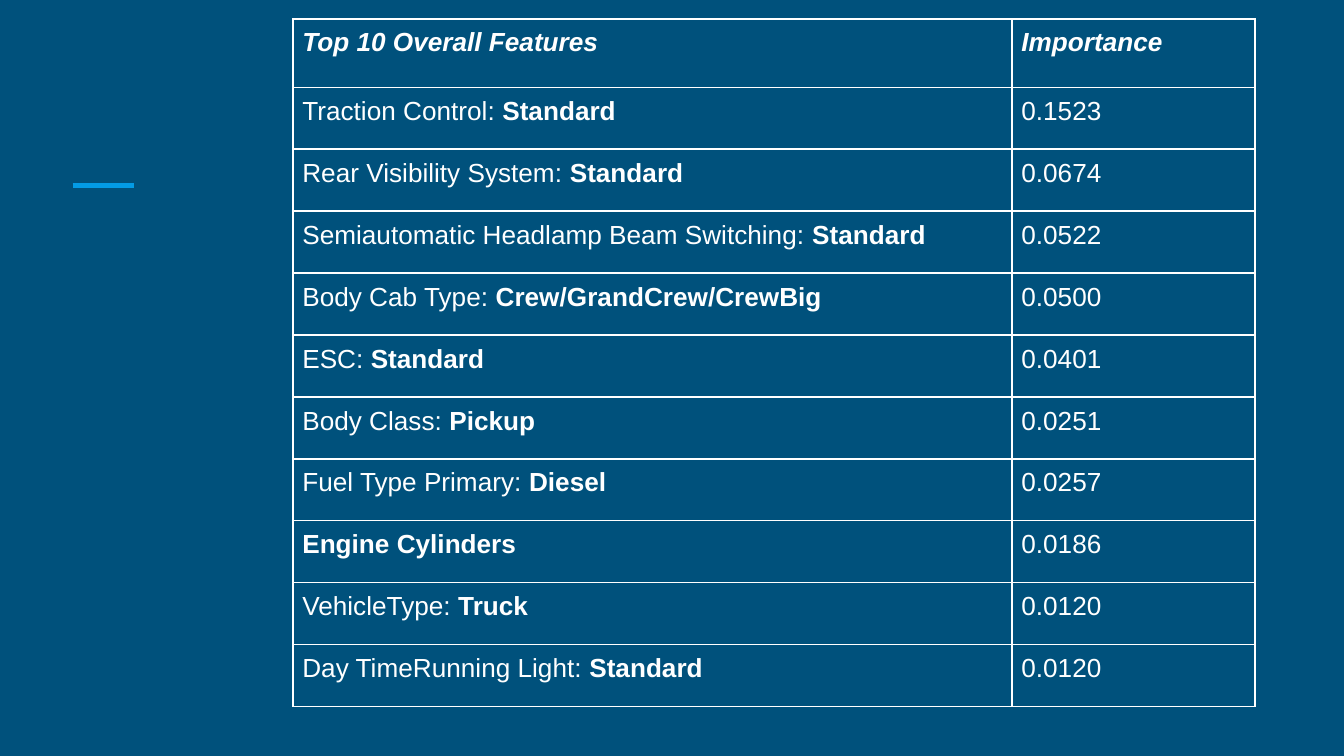
from lxml import etree
from pptx import Presentation
from pptx.dml.color import RGBColor
from pptx.enum.shapes import MSO_CONNECTOR
from pptx.oxml.ns import qn
from pptx.util import Inches, Pt

STRAIGHT = MSO_CONNECTOR.STRAIGHT
COLORS = {"background": "00517C", "accent": "039BE5", "text": "FFFFFF"}
FONT, SIZE = "Arial", 14

HEADERS = ("Top 10 Overall Features", "Importance")
FEATURES = [
    ("Traction Control:", " Standard", "0.1523"),
    ("Rear Visibility System: ", "Standard", "0.0674"),
    ("Semiautomatic Headlamp Beam Switching: ", "Standard", "0.0522"),
    ("Body Cab Type: ", "Crew/GrandCrew/CrewBig", "0.0500"),
    ("ESC:", " Standard", "0.0401"),
    ("Body Class: ", "Pickup", "0.0251"),
    ("Fuel Type Primary:", " Diesel", "0.0257"),
    ("", "Engine Cylinders", "0.0186"),
    ("VehicleType: ", "Truck", "0.0120"),
    ("Day TimeRunning Light: ", "Standard", "0.0120"),
]
SLIDE_WIDTH = 10
SLIDE_HEIGHT = SLIDE_WIDTH * 9 / 16
LEFT, TOP = 2.18, 0.14
COL_WIDTHS = (5.35, 1.81)
TABLE_HEIGHT, HEADER_HEIGHT = 5.12, 0.51
ROW_HEIGHT = (TABLE_HEIGHT - HEADER_HEIGHT) / len(FEATURES)
INSET = 0.07


def rgb(name):
    return RGBColor.from_string(COLORS[name])


def add_borders(cell):
    tc_pr = cell._tc.get_or_add_tcPr()
    for i, side in enumerate(("lnL", "lnR", "lnT", "lnB")):
        ln = etree.Element(qn(f"a:{side}"), w=str(Pt(1)))
        fill = etree.SubElement(ln, qn("a:solidFill"))
        etree.SubElement(fill, qn("a:srgbClr"), val=COLORS["text"])
        tc_pr.insert(i, ln)


def fill_cell(cell, runs, italic=False):
    cell.fill.background()
    add_borders(cell)
    cell.margin_left = cell.margin_right = Inches(INSET)
    cell.margin_top = cell.margin_bottom = Inches(INSET)
    p = cell.text_frame.paragraphs[0]
    p.font.name, p.font.size = FONT, Pt(SIZE)
    p.font.italic = italic
    p.font.color.rgb = rgb("text")
    for text, bold in runs:
        if text:
            r = p.add_run()
            r.text = text
            r.font.bold = bold


prs = Presentation()
prs.slide_width, prs.slide_height = Inches(SLIDE_WIDTH), Inches(SLIDE_HEIGHT)
s = prs.slides.add_slide(prs.slide_layouts[6])
s.background.fill.solid()
s.background.fill.fore_color.rgb = rgb("background")

accent = s.shapes.add_connector(
    STRAIGHT, Inches(0.54), Inches(1.38), Inches(1), Inches(1.38))
accent.line.color.rgb = rgb("accent")
accent.line.width = Pt(3)
etree.SubElement(accent._element.spPr, qn("a:effectLst"))

heights = [HEADER_HEIGHT] + [ROW_HEIGHT] * len(FEATURES)
table = s.shapes.add_table(
    len(heights), len(COL_WIDTHS), Inches(LEFT), Inches(TOP),
    Inches(sum(COL_WIDTHS)), Inches(TABLE_HEIGHT)).table
table.first_row = table.horz_banding = False
for col, width in zip(table.columns, COL_WIDTHS):
    col.width = Inches(width)
for row, height in zip(table.rows, heights):
    row.height = Inches(height)

for i, header in enumerate(HEADERS):
    fill_cell(table.cell(0, i), [(header, True)], italic=True)
for i, (feature, value, importance) in enumerate(FEATURES, 1):
    fill_cell(table.cell(i, 0), [(feature, False), (value, True)])
    fill_cell(table.cell(i, 1), [(importance, False)])

prs.save("out.pptx")
